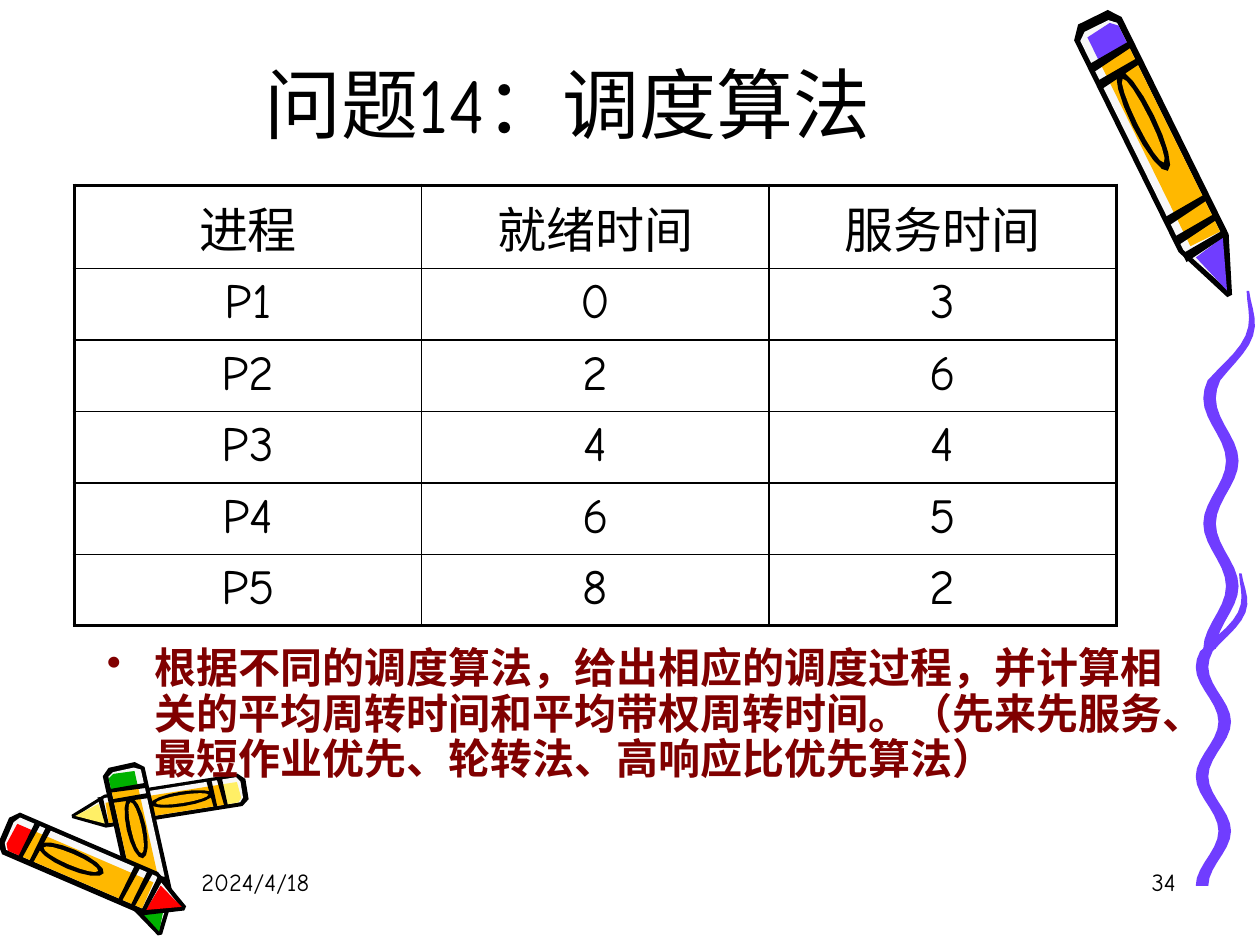
import math
import pptx
import pptx.util
import pptx.dml.color
import pptx.enum.text
import pptx.oxml
import pptx.oxml.ns

RGB = pptx.dml.color.RGBColor
BLACK = RGB(0, 0, 0)
MAROON = RGB(0x80, 0, 0)
PURPLE = RGB(0x70, 0x3D, 0xFF)
ORANGE = RGB(0xFF, 0xB8, 0)
YELLOW = RGB(0xFF, 0xEF, 0x66)
RED = RGB(0xFF, 0, 0)
GREEN = RGB(0, 0xB2, 0)
PALE = RGB(0xF8, 0xF8, 0xF8)

FONT = "Comic Neue"
SCALE = 9144  # EMU per px, 100 px to the inch
ALIGN = pptx.enum.text.PP_ALIGN
ANCHOR = pptx.enum.text.MSO_ANCHOR

# Crayon parts: (percent along from butt to tip, percent of half width across)
SHELL = [(4, -100), (0, -60), (0, 65), (4, 100), (82, 100), (100, 10), (100, -10), (80, -100)]
GLOSS = [(5, -80), (3, -50), (3, 50), (5, 75), (80, 75), (97, 0), (80, -80)]
CAP = [(5, -50), (4, 50), (6, 75), (13, 75), (13, -50)]
BARREL = [(13, -50), (13, 75), (80, 75), (80, -50)]
POINT = [(84, -50), (82, 75), (98, 0)]
BANDS = (13, 19, 68, 75, 81)  # where each black band starts

ROWS = [
    ("进程", "就绪时间", "服务时间"),
    ("P1", "0", "3"),
    ("P2", "2", "6"),
    ("P3", "4", "4"),
    ("P4", "6", "5"),
    ("P5", "8", "2"),
]
TASK = ("根据不同的调度算法，给出相应的调度过程，并计算相关的平均周转时间和平均带权周转时间。"
        "（先来先服务、最短作业优先、轮转法、高响应比优先算法）")


def emu(*sizes):
    return [pptx.util.Emu(size * SCALE) for size in sizes]


def add_xml(parent, tag, **attrs):
    child = parent.makeelement(pptx.oxml.ns.qn(tag), attrs)
    parent.append(child)
    return child


def band(start):
    """A slanted strip across the barrel."""
    return [(start, -90), (start - 1, 90), (start + 1, 90), (start + 3, -90)]


def oval(long, wide, steps=16):
    """The label on the barrel, centred a little nearer the butt."""
    turns = [2 * math.pi * step / steps for step in range(steps)]
    return [(37 + long * math.cos(turn), wide * math.sin(turn)) for turn in turns]


class Deck:
    def __init__(self, wide, high):
        self.show = pptx.Presentation()
        self.show.slide_width, self.show.slide_height = emu(wide, high)
        self.slide = self.show.slides.add_slide(self.show.slide_layouts[6])
        self.shapes = self.slide.shapes

    def style(self, para, text, size, color=BLACK, align=ALIGN.LEFT, bold=False):
        para.text = text
        para.alignment = align
        font = para.font
        font.name, font.size, font.bold = FONT, pptx.util.Pt(size), bold
        font.color.rgb = color

    def text(self, box, text, size, anchor=ANCHOR.TOP, bullet=0, **look):
        frame = self.shapes.add_textbox(*emu(*box)).text_frame
        frame.word_wrap = True
        frame.vertical_anchor = anchor
        para = frame.paragraphs[0]
        if bullet:
            para.line_spacing = 0.9
            props = para._p.get_or_add_pPr()
            props.set("marL", str(bullet * SCALE))
            props.set("indent", str(-bullet * SCALE))
            add_xml(props, "a:buChar", char="•")
        self.style(para, text, size, **look)

    def patch(self, dots, color):
        dots = [(round(x * SCALE), round(y * SCALE)) for x, y in dots]
        pen = self.shapes.build_freeform(*dots[0])
        pen.add_line_segments(dots[1:], close=True)
        shape = pen.convert_to_shape()
        shape.shadow.inherit = False
        shape.fill.solid()
        shape.fill.fore_color.rgb = color
        shape.line.fill.background()

    def crayon(self, butt, tip, half, color, side=1):
        """Turn the crayon parts onto the line from butt to tip; side -1 mirrors the gloss."""
        run, drop = tip[0] - butt[0], tip[1] - butt[1]
        reach = side * half / math.hypot(run, drop)

        def place(along, across):
            u, v = along / 100, across / 100 * reach
            return butt[0] + u * run + v * drop, butt[1] + u * drop - v * run

        parts = [(SHELL, BLACK), (GLOSS, PALE), (CAP, color), (BARREL, ORANGE), (POINT, color)]
        parts += [(band(start), BLACK) for start in BANDS]
        parts += [(oval(18, 45), BLACK), (oval(15, 25), ORANGE)]
        for part, fill in parts:
            self.patch([place(*dot) for dot in part], fill)

    def wave(self, mid, top, high, color, steps=40):
        """A ribbon that swings about mid and flares to the right at its top."""
        left, right = [], []
        for step in range(steps + 1):
            t = step / steps
            flare = max(0, 1 - 4 * t)
            x = mid - 9 * math.cos(2 * math.pi * (t - 0.3) / 0.35) + 27 * flare
            half = 5 - 4 * flare
            left.append((x - half, top + t * high))
            right.append((x + half, top + t * high))
        self.patch(left + right[::-1], color)

    def edge(self, cell, side, width):
        props = cell._tc.get_or_add_tcPr()
        line = add_xml(props, f"a:ln{side}", w=str(pptx.util.Pt(width)))
        add_xml(add_xml(line, "a:solidFill"), "a:srgbClr", val=str(BLACK))

    def table(self, box, rows, size, head):
        tall, wide = len(rows), len(rows[0])
        table = self.shapes.add_table(tall, wide, *emu(*box)).table
        table.first_row = table.horz_banding = False
        table.rows[0].height = emu(head)[0]
        for r, row in enumerate(rows):
            for c, text in enumerate(row):
                cell = table.cell(r, c)
                outer = {"L": c == 0, "R": c == wide - 1, "T": r == 0, "B": r == tall - 1}
                for side, thick in outer.items():
                    self.edge(cell, side, 2.25 if thick else 1)
                cell.fill.background()
                self.style(cell.text_frame.paragraphs[0], text, size, align=ALIGN.CENTER)


def main():
    deck = Deck(1000, 750)

    # Large crayon and the wave it draws
    deck.wave(963, 455, 248, PURPLE)
    deck.wave(969, 231, 284, PURPLE)
    deck.crayon((867, 14), (976, 235), 21, PURPLE)

    # Three small crayons, back to front
    deck.crayon((196, 626), (57, 648), 13, YELLOW)
    deck.crayon((97, 607), (127, 742), 17, GREEN, side=-1)
    deck.crayon((3, 659), (147, 721), 18, RED, side=-1)

    # Date and slide number
    deck.text((150, 683, 208, 50), "2024/4/18", 14)
    deck.text((735, 683, 208, 50), "34", 14, align=ALIGN.RIGHT)

    # Title, task and process table
    deck.text((75, 17, 751, 106), "问题14：调度算法", 44, ANCHOR.BOTTOM, align=ALIGN.CENTER)
    deck.text((75, 509, 866, 126), TASK, 24, bullet=38, color=MAROON, bold=True)
    deck.table((59, 147, 827, 340), ROWS, 28, head=66)

    deck.show.save("out.pptx")


if __name__ == "__main__":
    main()
